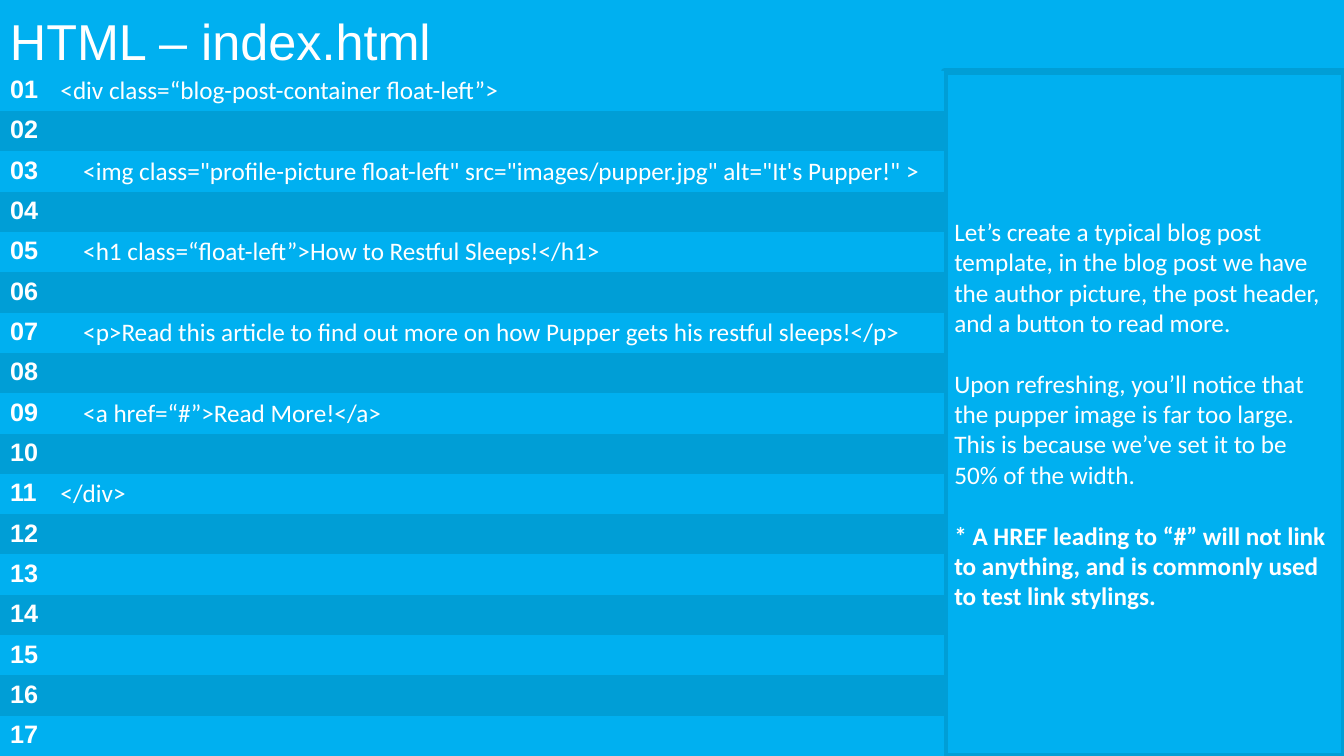
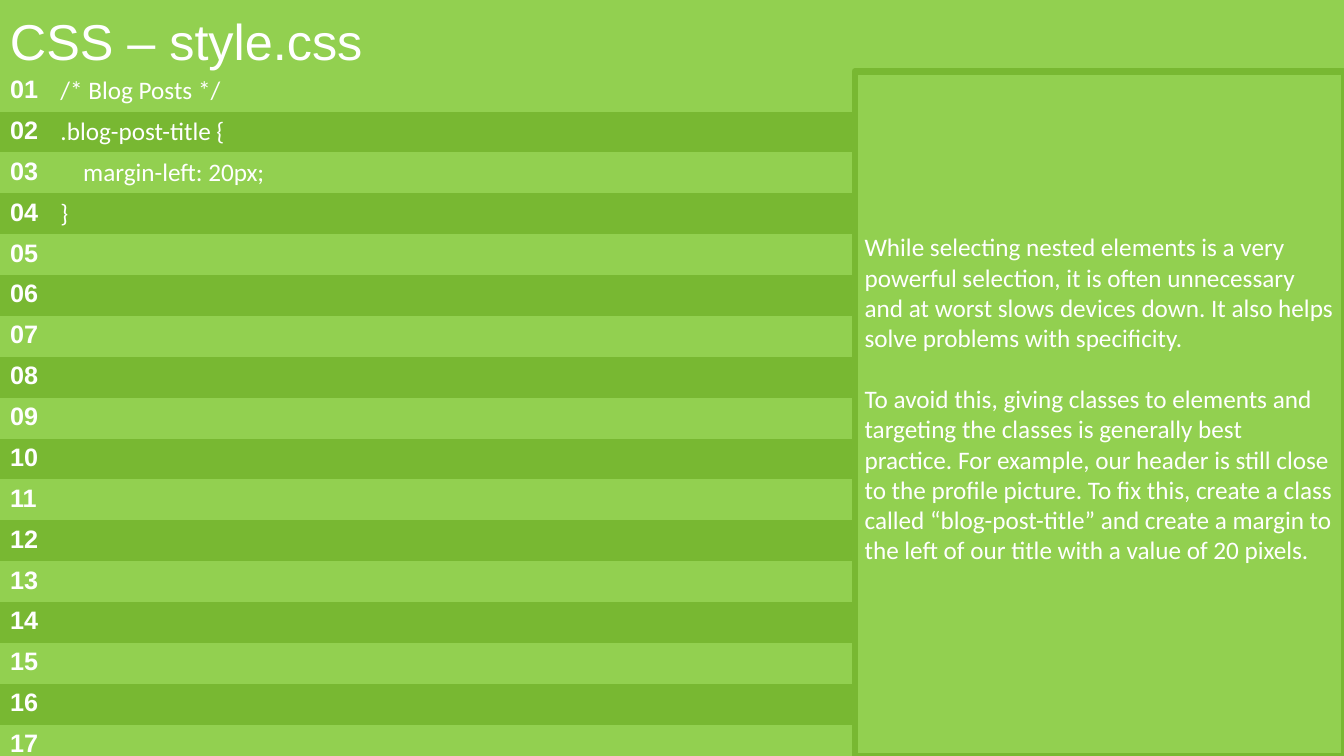
"""Build two code walkthrough slides, each with a title, numbered code and a note."""
from dataclasses import dataclass

from pptx import Presentation
from pptx.dml.color import RGBColor
from pptx.enum.shapes import MSO_SHAPE
from pptx.enum.text import MSO_ANCHOR, PP_ALIGN
from pptx.oxml.ns import qn
from pptx.slide import Slide
from pptx.text.text import TextFrame
from pptx.util import Cm, Pt

WIDE, HIGH = 33.87, 19.05
HEAD = 1.8
TOP = 1.78
NUMS = 1.27
ROWS = 17
WHITE = "FFFFFF"
PLAIN = "{2D5ABB26-0587-4C30-8999-92F81FD0307C}"


@dataclass(frozen=True)
class Page:
    title: str
    light: str
    dark: str
    split: float
    pitch: float
    code: dict[int, str]
    notes: tuple[str, ...]
    strong: int = -1
    foot: float = 0.13
    cover: bool = False


PAGES = (
    Page(
        title="HTML – index.html",
        light="00B0F0",
        dark="009ED6",
        split=23.8,
        pitch=1.016,
        code={
            1: "<div class=“blog-post-container float-left”>",
            3: "    <img class=\"profile-picture float-left\" src=\"images/pupper.jpg\" alt=\"It's Pupper!\" >",
            5: "    <h1 class=“float-left”>How to Restful Sleeps!</h1>",
            7: "    <p>Read this article to find out more on how Pupper gets his restful sleeps!</p>",
            9: "    <a href=“#”>Read More!</a>",
            11: "</div>",
        },
        notes=(
            "Let’s create a typical blog post template, in the blog post we have the author "
            "picture, the post header, and a button to read more.",
            "Upon refreshing, you’ll notice that the pupper image is far too large. This is "
            "because we’ve set it to be 50% of the width.",
            "* A HREF leading to “#” will not link to anything, and is commonly used to test "
            "link stylings.",
        ),
        strong=2,
    ),
    Page(
        title="CSS – style.css",
        light="92D050",
        dark="78B832",
        split=21.54,
        pitch=1.03,
        code={
            1: "/* Blog Posts */",
            2: ".blog-post-title {",
            3: "    margin-left: 20px;",
            4: "}",
        },
        notes=(
            "While selecting nested elements is a very powerful selection, it is often "
            "unnecessary and at worst slows devices down. It also helps solve problems with "
            "specificity.",
            "To avoid this, giving classes to elements and targeting the classes is generally "
            "best practice. For example, our header is still close to the profile picture. To "
            "fix this, create a class called “blog-post-title” and create a margin to the left "
            "of our title with a value of 20 pixels.",
        ),
        foot=0.9,
        cover=True,
    ),
)


def paint(fill, tone: str) -> None:
    """Fill with a solid colour given as a hex string."""
    fill.solid()
    fill.fore_color.rgb = RGBColor.from_string(tone)


def write(frame: TextFrame, text: str, *, font: str = "Calibri", size: float = 18,
          bold: bool = False, gap: float = 0) -> None:
    """Write one white paragraph, after any text the frame already holds."""
    para = frame.add_paragraph() if frame.text else frame.paragraphs[0]
    para.alignment = PP_ALIGN.LEFT
    if gap:
        para.space_before = Pt(gap)
    run = para.add_run()
    run.text = text
    run.font.name, run.font.size, run.font.bold = font, Pt(size), bold
    paint(run.font.fill, WHITE)


def block(slide: Slide, left: float, top: float, wide: float, high: float, tone: str,
          edge: str = "") -> TextFrame:
    """Draw a filled rectangle and return its text frame."""
    shape = slide.shapes.add_shape(
        MSO_SHAPE.RECTANGLE, Cm(left), Cm(top), Cm(wide), Cm(high))
    shape.shadow.inherit = False
    paint(shape.fill, tone)
    if edge:
        paint(shape.line.fill, edge)
        shape.line.width = Pt(4.5)
    else:
        shape.line.fill.background()
    shape.text_frame.word_wrap = True
    return shape.text_frame


def header(slide: Slide, page: Page) -> None:
    """Draw the title band."""
    frame = block(slide, 0, 0, WIDE, HEAD, page.light)
    frame.vertical_anchor = MSO_ANCHOR.TOP
    frame.margin_top = Cm(0.25)
    write(frame, page.title, font="Arial", size=36)


def panel(slide: Slide, page: Page) -> None:
    """Draw the framed notes at the right."""
    frame = block(slide, page.split, HEAD, WIDE - page.split, HIGH - HEAD,
                  page.light, page.dark)
    frame.vertical_anchor = MSO_ANCHOR.MIDDLE
    frame.margin_bottom = Cm(page.foot)
    for spot, note in enumerate(page.notes):
        write(frame, note, bold=spot == page.strong, gap=22 if spot else 0)


def listing(slide: Slide, page: Page) -> None:
    """Draw the numbered code lines as a banded table."""
    shape = slide.shapes.add_table(
        ROWS, 2, Cm(0), Cm(TOP), Cm(page.split), Cm(ROWS * page.pitch))
    next(shape._element.iter(qn("a:tableStyleId"))).text = PLAIN
    table = shape.table
    table.columns[0].width = Cm(NUMS)
    table.columns[1].width = Cm(page.split - NUMS)
    for line, row in enumerate(table.rows, 1):
        row.height = Cm(page.pitch)
        for cell in row.cells:
            paint(cell.fill, page.light if line % 2 else page.dark)
            cell.margin_bottom = Cm(0.1)
        write(row.cells[0].text_frame, f"{line:02}", font="Arial", bold=True)
        if line in page.code:
            write(row.cells[1].text_frame, page.code[line])


def main() -> None:
    """Build and save the deck."""
    deck = Presentation()
    deck.slide_width, deck.slide_height = Cm(WIDE), Cm(HIGH)
    for page in PAGES:
        slide = deck.slides.add_slide(deck.slide_layouts[6])
        paint(slide.background.fill, page.light)
        parts = (listing, header, panel) if page.cover else (header, panel, listing)
        for draw in parts:
            draw(slide, page)
    deck.save("out.pptx")


if __name__ == "__main__":
    main()
